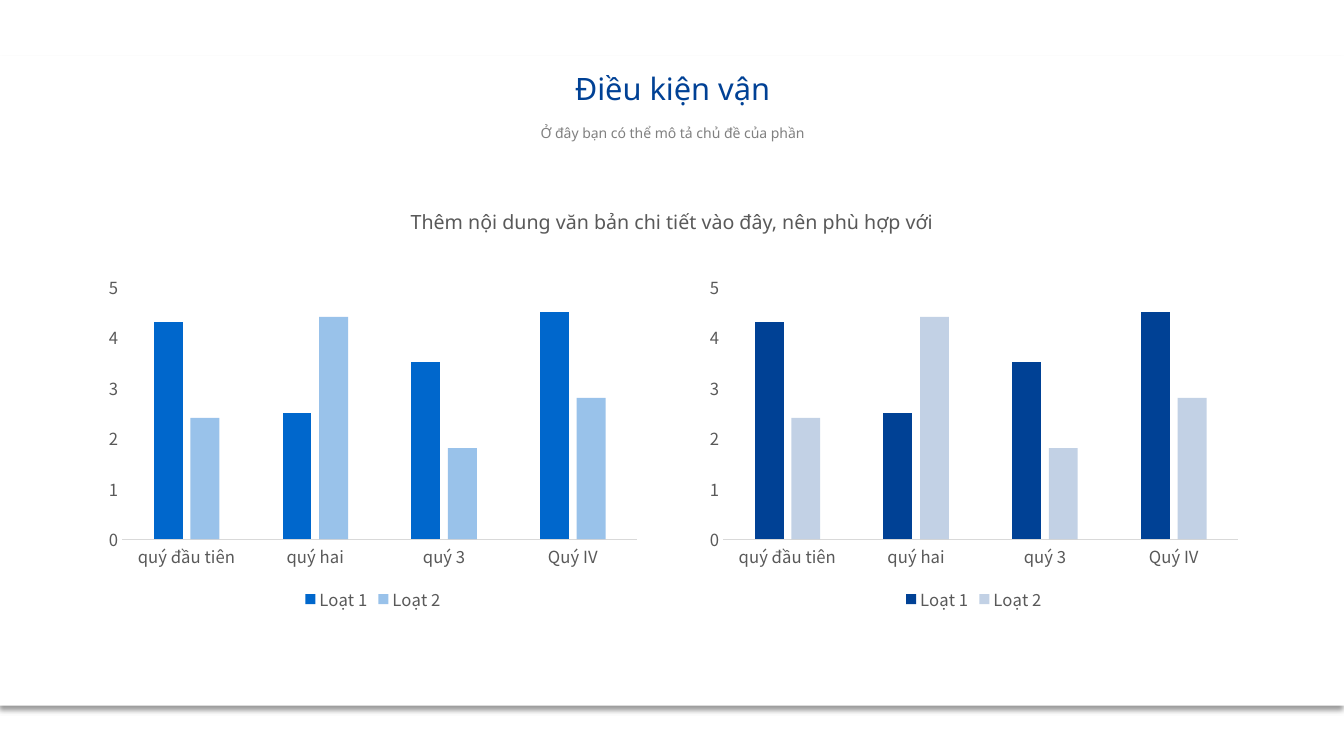
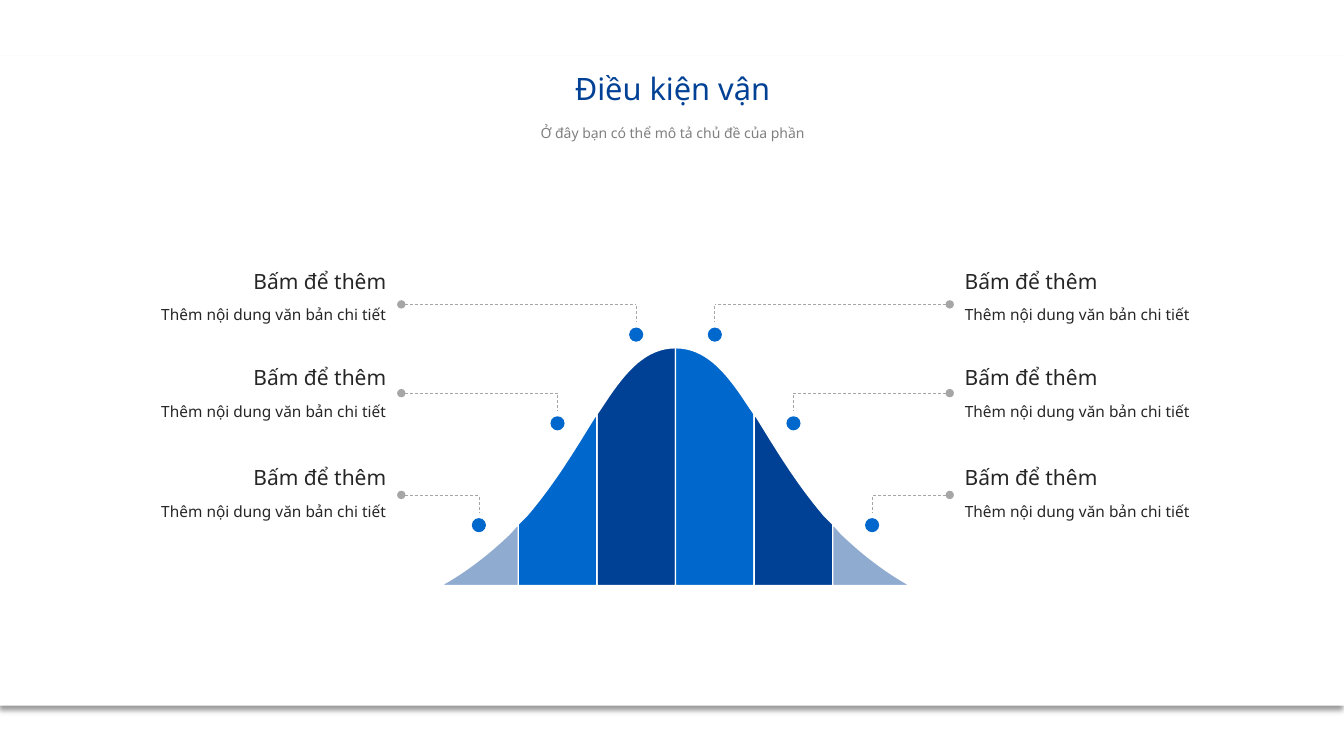
from pptx import Presentation
from pptx.chart.data import CategoryChartData
from pptx.dml.color import RGBColor
from pptx.enum.chart import XL_CHART_TYPE, XL_LEGEND_POSITION, XL_TICK_MARK
from pptx.enum.dml import MSO_LINE
from pptx.enum.shapes import MSO_CONNECTOR, MSO_SHAPE
from pptx.enum.text import MSO_ANCHOR, PP_ALIGN
from pptx.oxml import parse_xml
from pptx.oxml.ns import nsdecls, qn
from pptx.util import Inches, Pt

LEFT, CENTER, RIGHT = PP_ALIGN.LEFT, PP_ALIGN.CENTER, PP_ALIGN.RIGHT
NO_TICK = XL_TICK_MARK.NONE

# Colours and fonts
WHITE = RGBColor(0xFF, 0xFF, 0xFF)
NAVY = RGBColor(0x00, 0x41, 0x95)
BLUE = RGBColor(0x00, 0x67, 0xCC)
INK = RGBColor(0x26, 0x26, 0x26)
DARK_GREY = RGBColor(0x59, 0x59, 0x59)
GREY = RGBColor(0x80, 0x80, 0x80)
LINE_GREY = RGBColor(0xA6, 0xA6, 0xA6)
AXIS_GREY = RGBColor(0xD9, 0xD9, 0xD9)
FONT, CHART_FONT = "Noto Sans", "Noto Sans CJK SC"

# Content
W, H = 13.33, 7.5
TITLE = "Điều kiện vận"
SUBTITLE = "Ở đây bạn có thể mô tả chủ đề của phần"
CHART_INTRO = "Thêm nội dung văn bản chi tiết vào đây, nên phù hợp với"
QUARTERS = ["quý đầu tiên", "quý hai", "quý 3", "Quý IV"]
SERIES = [("Loạt 1", (4.3, 2.5, 3.5, 4.5)), ("Loạt 2", (2.4, 4.4, 1.8, 2.8))]
CHARTS = [(0.97, BLUE, 40), (6.93, NAVY, 24)]  # left, colour, second series opacity
CALLOUT = ("Bấm để thêm", "Thêm nội dung văn bản chi tiết")
CALLOUT_ROWS = [(2.61, 3.02), (3.57, 3.9), (4.56, 4.91)]  # text top, leader line

# Bell curve: offsets from the middle axis; each band is a Bézier piece
AXIS_X, BASE_Y, BAND_W = 6.7, 5.81, 0.78
TEXT_GAP, LEADER_GAP = 2.77, 2.72
BANDS = [  # inner top, four Bézier points, outer top
    ((0, 3.45), [(0, 3.45), (0.29, 3.45), (0.49, 3.67), (0.7, 3.99)], (0.78, 4.11)),
    ((0.78, 4.11), [(0.81, 4.15), (0.99, 4.44), (1.19, 4.78), (1.47, 5.11)], (1.56, 5.2)),
    ((1.56, 5.2), [(1.65, 5.3), (1.84, 5.48), (2.06, 5.66), (2.33, 5.81)], (2.33, 5.81)),
]
BAND_FILLS = {-1: [(NAVY, 100), (BLUE, 100), (NAVY, 44)],
              1: [(BLUE, 100), (NAVY, 100), (NAVY, 44)]}


def set_opacity(sp_pr, percent):
    if percent < 100:
        clr = sp_pr.find(qn("a:solidFill")).find(qn("a:srgbClr"))
        clr.append(parse_xml(f'<a:alpha {nsdecls("a")} val="{percent * 1000}"/>'))


def add_text(s, text, x, y, w, h, size, color, align=CENTER, spacing=None):
    tf = s.shapes.add_textbox(Inches(x), Inches(y), Inches(w), Inches(h)).text_frame
    tf.word_wrap = True
    tf.vertical_anchor = MSO_ANCHOR.MIDDLE
    p = tf.paragraphs[0]
    p.text, p.alignment = text, align
    if spacing:
        p.line_spacing = spacing
    p.font.name, p.font.size, p.font.color.rgb = FONT, Pt(size), color


def fill_shape(sp, color, opacity=100, line=None):
    sp.shadow.inherit = False
    sp.fill.solid()
    sp.fill.fore_color.rgb = color
    set_opacity(sp._element.spPr, opacity)
    if line is None:
        sp.line.fill.background()
    else:
        sp.line.color.rgb, sp.line.width = line, Pt(1)


def add_base_slide(prs):
    """Blank slide with the shadowed white panel and the centred titles."""
    s = prs.slides.add_slide(prs.slide_layouts[6])
    panel = s.shapes.add_shape(MSO_SHAPE.RECTANGLE, 0, Inches(0.55), Inches(W), Inches(6.45))
    fill_shape(panel, WHITE)
    panel._element.spPr.find(qn("a:effectLst")).append(parse_xml(
        f'<a:outerShdw {nsdecls("a")} blurRad="{Pt(4)}" dist="{Pt(3)}" dir="5400000" '
        'algn="t" rotWithShape="0"><a:srgbClr val="000000"><a:alpha val="40000"/>'
        '</a:srgbClr></a:outerShdw>'))
    add_text(s, TITLE, 5.29, 0.64, 2.76, 0.47, 22, NAVY)
    add_text(s, SUBTITLE, 4.21, 1.14, 4.92, 0.33, 10, GREY, spacing=1.2)
    return s


def set_chart_font(font):
    font.name, font.size, font.color.rgb = CHART_FONT, Pt(11.9), DARK_GREY


def add_column_chart(s, x, color, opacity):
    data = CategoryChartData()
    data.categories = QUARTERS
    for name, values in SERIES:
        data.add_series(name, values)
    chart = s.shapes.add_chart(XL_CHART_TYPE.COLUMN_CLUSTERED, Inches(x), Inches(2.65),
                               Inches(5.46), Inches(3.46), data).chart
    set_chart_font(chart.font)
    chart.has_title = False
    chart.has_legend = True
    chart.legend.position = XL_LEGEND_POSITION.BOTTOM
    chart.legend.include_in_layout = False
    set_chart_font(chart.legend.font)
    for axis in (chart.category_axis, chart.value_axis):
        axis.major_tick_mark = axis.minor_tick_mark = NO_TICK
        axis.has_major_gridlines = False
        set_chart_font(axis.tick_labels.font)
    chart.category_axis.format.line.color.rgb = AXIS_GREY
    chart.category_axis.format.line.width = Pt(0.75)
    va = chart.value_axis
    va.format.line.fill.background()
    va.minimum_scale, va.maximum_scale, va.major_unit = 0, 5, 1
    plot = chart.plots[0]
    plot.gap_width, plot.overlap, plot.vary_by_categories = 219, -27, False
    for series, alpha in zip(plot.series, (100, opacity)):
        series.format.fill.solid()
        series.format.fill.fore_color.rgb = color
        set_opacity(series._element.find(qn("c:spPr")), alpha)


def bezier(points, steps=16):
    (x0, y0), (x1, y1), (x2, y2), (x3, y3) = points
    for i in range(steps + 1):
        t = i / steps
        a, b, c, d = (1 - t) ** 3, 3 * t * (1 - t) ** 2, 3 * t * t * (1 - t), t ** 3
        yield a * x0 + b * x1 + c * x2 + d * x3, a * y0 + b * y1 + c * y2 + d * y3


def add_band(s, side, band, color, opacity):
    inner, curve, outer = band
    outline = [inner, *bezier(curve), outer, (outer[0], BASE_Y), (inner[0], BASE_Y)]
    pts = [(Inches(AXIS_X + side * x), Inches(y)) for x, y in outline]
    fb = s.shapes.build_freeform(*pts[0], scale=1.0)
    fb.add_line_segments(pts[1:], close=True)
    fill_shape(fb.convert_to_shape(), color, opacity, WHITE)


def add_leader(s, x1, y1, x2, y2, dot=False):
    cn = s.shapes.add_connector(MSO_CONNECTOR.STRAIGHT, Inches(x1), Inches(y1),
                                Inches(x2), Inches(y2))
    cn.line.color.rgb, cn.line.width = LINE_GREY, Pt(0.5)
    cn.line.dash_style = MSO_LINE.DASH
    if dot:
        cn.line._get_or_add_ln().append(parse_xml(f'<a:headEnd {nsdecls("a")} type="oval"/>'))
    cn._element.spPr.append(parse_xml(f'<a:effectLst {nsdecls("a")}/>'))


def add_callout(s, side, i, text_y, line_y):
    # Marker above the middle of its band, joined to the text by a bent leader
    x, r = AXIS_X + side * BAND_W * (i + 0.5), 0.07
    marker = s.shapes.add_shape(MSO_SHAPE.OVAL, Inches(x - r), Inches(line_y + 0.3 - r),
                                Inches(2 * r), Inches(2 * r))
    fill_shape(marker, BLUE)
    add_leader(s, x, line_y + 0.02, x, line_y + 0.17)
    add_leader(s, AXIS_X + side * LEADER_GAP, line_y, x, line_y, dot=True)
    # Heading and detail, aligned towards the curve
    edge = AXIS_X + side * TEXT_GAP
    heading, detail = CALLOUT
    for text, y, w, h, size in ((heading, text_y, 2.24, 0.35, 15),
                                (detail, text_y + 0.37, 2.75, 0.28, 11)):
        left = edge if side > 0 else edge - w
        add_text(s, text, left, y, w, h, size, INK, LEFT if side > 0 else RIGHT)


def main():
    prs = Presentation()
    prs.slide_width, prs.slide_height = Inches(W), Inches(H)

    # Slide 1: two column charts
    s = add_base_slide(prs)
    add_text(s, CHART_INTRO, 2.92, 1.99, 7.49, 0.37, 14, DARK_GREY, spacing=1.2)
    for x, color, opacity in CHARTS:
        add_column_chart(s, x, color, opacity)

    # Slide 2: bell curve with callouts on both sides
    s = add_base_slide(prs)
    for side, fills in BAND_FILLS.items():
        for band, (color, opacity) in zip(BANDS, fills):
            add_band(s, side, band, color, opacity)
        for i, (text_y, line_y) in enumerate(CALLOUT_ROWS):
            add_callout(s, side, i, text_y, line_y)

    prs.save("out.pptx")


if __name__ == "__main__":
    main()
